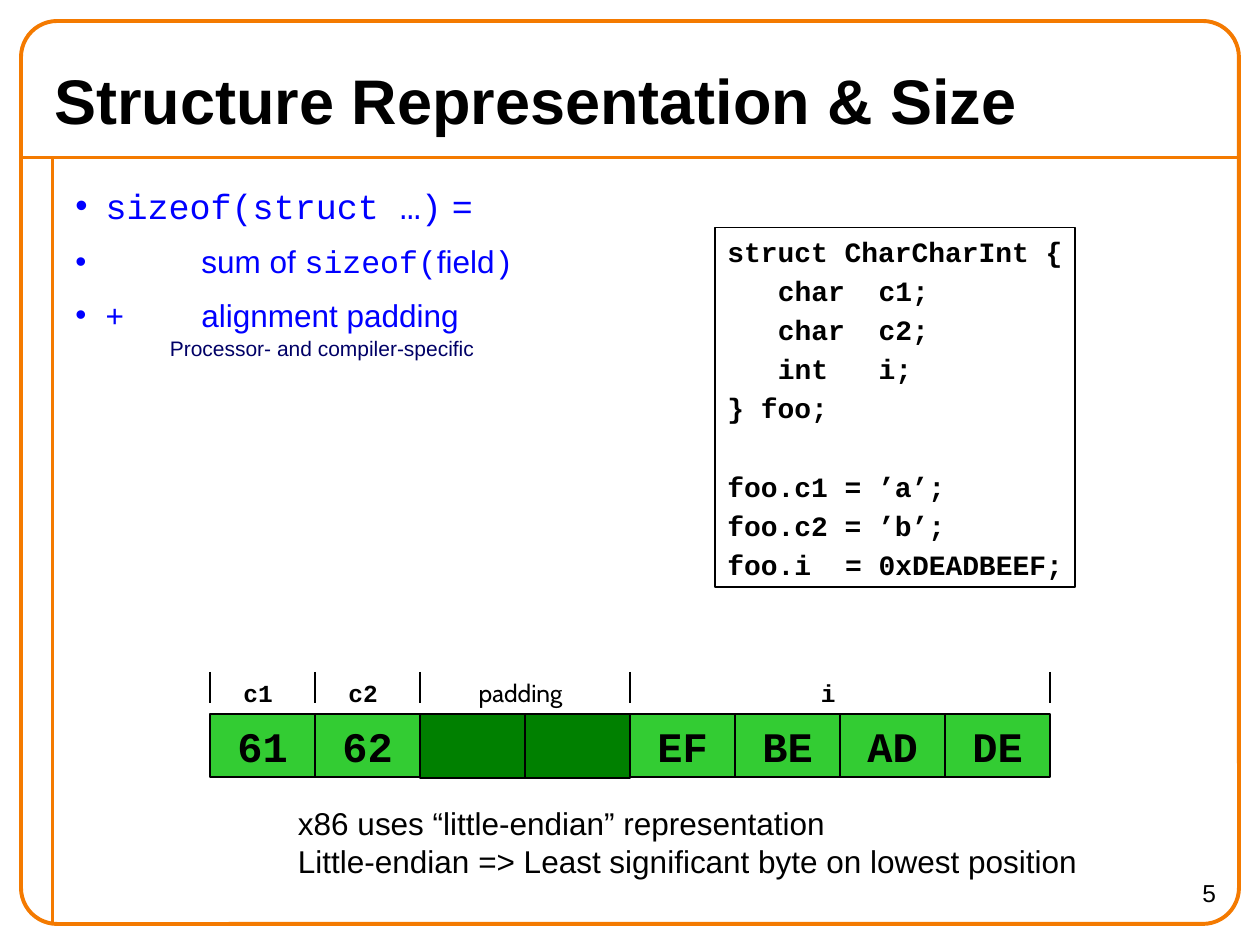
from dataclasses import dataclass

from lxml.etree import SubElement
from pptx import Presentation
from pptx.dml.color import RGBColor
from pptx.enum.shapes import MSO_CONNECTOR, MSO_SHAPE
from pptx.enum.text import MSO_ANCHOR, PP_ALIGN
from pptx.oxml.ns import qn
from pptx.util import Inches, Pt

BLACK = RGBColor(0x00, 0x00, 0x00)
ORANGE = RGBColor(0xF4, 0x7A, 0x00)
BLUE = RGBColor(0x00, 0x00, 0xFF)
NAVY = RGBColor(0x00, 0x00, 0x66)
GREEN = RGBColor(0x33, 0xCC, 0x33)
DARK_GREEN = RGBColor(0x00, 0x80, 0x00)
SANS, MONO, LABEL_FONT = "Arial", "Courier New", "Cabin"

# The slide is a grid of 120 columns by 90 rows
UNIT = Inches(10) // 120
BYTE_WIDTH, MEMORY_LEFT, MEMORY_TOP, TICK_TOP = 10, 20, 68, 64
CODE_SIZE, CODE_GAP, CODE_LINE = 16, 3.2, 19.1
CHARACTER_WIDTH = 0.6 * CODE_SIZE


@dataclass
class Field:
    name: str
    values: list[str]
    label_left: float
    label_width: float
    font: str = MONO
    fill: RGBColor = GREEN
    height: float = 6


@dataclass
class Bullet:
    runs: list[tuple[str, str]]
    size: int
    gap: float


@dataclass
class CodeLine:
    text: str
    tab_columns: tuple[int, ...] = ()
    after_blank: bool = False


FIELDS = [
    Field("c1", ["61"], 22, 5.2),
    Field("c2", ["62"], 32, 5.2),
    Field("padding", ["", ""], 44.4, 11.9, LABEL_FONT, DARK_GREEN, 6.1),
    Field("i", ["EF", "BE", "AD", "DE"], 77, 3.7),
]
# Default tab stops are half an inch apart; the terms start at the second
BULLETS = [
    Bullet([("sizeof(struct …)", MONO), (" =", SANS)], 20, 10),
    Bullet([("\t\tsum of ", SANS), ("sizeof(", MONO), ("field", SANS), (")", MONO)], 18, 9),
    Bullet([("+\t\talignment padding", SANS)], 18, 9),
]
CODE = [
    CodeLine("struct CharCharInt {"),
    CodeLine("\tchar\tc1;", (3, 9)),
    CodeLine("\tchar\tc2;", (3, 9)),
    CodeLine("\tint\ti;", (3, 9)),
    CodeLine("} foo;"),
    CodeLine("foo.c1 = ’a’;", after_blank=True),
    CodeLine("foo.c2 = ’b’;"),
    CodeLine("foo.i\t= 0xDEADBEEF;", (7,)),
]


def grid(length: float) -> int:
    return round(length * UNIT)


def add_line(slide, start: tuple, end: tuple, color: RGBColor, width: float) -> None:
    line = slide.shapes.add_connector(MSO_CONNECTOR.STRAIGHT, *map(grid, start + end))
    line.line.color.rgb = color
    line.line.width = Pt(width)
    SubElement(line._element.spPr, qn("a:effectLst"))


def add_box(slide, kind: MSO_SHAPE, box: tuple, color: RGBColor, width: float,
            fill: RGBColor | None = None):
    shape = slide.shapes.add_shape(kind, *map(grid, box))
    shape.shadow.inherit = False
    shape.line.color.rgb = color
    shape.line.width = Pt(width)
    if fill is None:
        shape.fill.background()
    else:
        shape.fill.solid()
        shape.fill.fore_color.rgb = fill
    return shape


def set_font(font, size: float, name: str, color: RGBColor = BLACK, bold: bool = False) -> None:
    font.size, font.name, font.bold = Pt(size), name, bold
    font.color.rgb = color


def set_indent(paragraph, margin: float, first_line: float) -> None:
    properties = paragraph._p.get_or_add_pPr()
    properties.set("marL", str(Inches(margin)))
    properties.set("indent", str(Inches(first_line)))


def add_text(slide, box: tuple, lines: list[str], size: float, name: str = SANS,
             bold: bool = False, align: PP_ALIGN = PP_ALIGN.LEFT, wrap: bool = True):
    frame = slide.shapes.add_textbox(*map(grid, box)).text_frame
    frame.word_wrap = wrap
    frame.text = "\n".join(lines)
    for paragraph in frame.paragraphs:
        paragraph.alignment = align
        set_font(paragraph.font, size, name, BLACK, bold)
    return frame


def add_bullets(slide) -> None:
    frame = slide.shapes.add_textbox(*map(grid, (6, 17, 53, 17.8))).text_frame
    frame.word_wrap = True
    for index, bullet in enumerate(BULLETS):
        paragraph = frame.paragraphs[0] if index == 0 else frame.add_paragraph()
        paragraph.space_before = Pt(bullet.gap)
        set_indent(paragraph, 0.24, -0.24)
        properties = paragraph._p.get_or_add_pPr()
        bullet_color = SubElement(properties, qn("a:buClr"))
        SubElement(bullet_color, qn("a:srgbClr")).set("val", str(BLUE))
        SubElement(properties, qn("a:buFont")).set("typeface", SANS)
        SubElement(properties, qn("a:buChar")).set("char", "•")
        for text, name in bullet.runs:
            run = paragraph.add_run()
            run.text = text
            set_font(run.font, bullet.size, name, BLUE)
    note = frame.add_paragraph()
    note.text = "Processor- and compiler-specific"
    note.space_before = Pt(1.2)
    set_indent(note, 1, -0.25)
    set_font(note.font, 12, SANS, NAVY)


def add_code(slide) -> None:
    shape = add_box(slide, MSO_SHAPE.RECTANGLE, (68.1, 21.7, 34.3, 34.2), BLACK, 0.74)
    frame = shape.text_frame
    frame.word_wrap = False
    frame.vertical_anchor = MSO_ANCHOR.TOP
    for index, line in enumerate(CODE):
        paragraph = frame.paragraphs[0] if index == 0 else frame.add_paragraph()
        paragraph.text = line.text
        paragraph.alignment = PP_ALIGN.LEFT
        blank_line = CODE_LINE + CODE_GAP if line.after_blank else 0
        paragraph.space_before = Pt(CODE_GAP + blank_line)
        if line.tab_columns:
            tabs = SubElement(paragraph._p.get_or_add_pPr(), qn("a:tabLst"))
            for column in line.tab_columns:
                tab = SubElement(tabs, qn("a:tab"))
                tab.set("pos", str(Pt(column * CHARACTER_WIDTH)))
                tab.set("algn", "l")
        set_font(paragraph.font, CODE_SIZE, MONO, BLACK, True)


def add_memory(slide) -> None:
    left = MEMORY_LEFT
    ticks = [left]
    for field in FIELDS:
        for value in field.values:
            box = (left, MEMORY_TOP, BYTE_WIDTH, field.height)
            cell = add_box(slide, MSO_SHAPE.RECTANGLE, box, BLACK, 0.74, field.fill)
            if value:
                paragraph = cell.text_frame.paragraphs[0]
                paragraph.text = value
                paragraph.alignment = PP_ALIGN.CENTER
                set_font(paragraph.font, 24, MONO, BLACK, True)
            left += BYTE_WIDTH
        ticks.append(left)
        add_text(slide, (field.label_left, TICK_TOP, field.label_width, 4), [field.name],
                 14, field.font, field.font == MONO, wrap=False)
    for tick in ticks:
        add_line(slide, (tick, TICK_TOP), (tick, TICK_TOP + 3), BLACK, 0.74)


presentation = Presentation()
presentation.slide_width, presentation.slide_height = grid(120), grid(90)
slide = presentation.slides.add_slide(presentation.slide_layouts[6])

# Frame
add_line(slide, (2, 15), (118, 15), ORANGE, 2.24)
add_line(slide, (5, 15), (5, 88), ORANGE, 2.24)
frame_shape = add_box(slide, MSO_SHAPE.ROUNDED_RECTANGLE, (2, 2, 116, 86), ORANGE, 2.24)
frame_shape.adjustments[0] = 0.04

# Title and page number
title = add_text(slide, (4, 5, 112, 9), ["Structure Representation & Size"], 36, bold=True)
title.vertical_anchor = MSO_ANCHOR.MIDDLE
add_text(slide, (105, 83, 12, 5), ["5"], 14, align=PP_ALIGN.RIGHT)

# Content
add_bullets(slide)
add_memory(slide)
add_code(slide)
add_text(slide, (27.2, 76, 80, 8.4),
         ["x86 uses “little-endian” representation",
          "Little-endian => Least significant byte on lowest position"], 18)

presentation.save("out.pptx")
